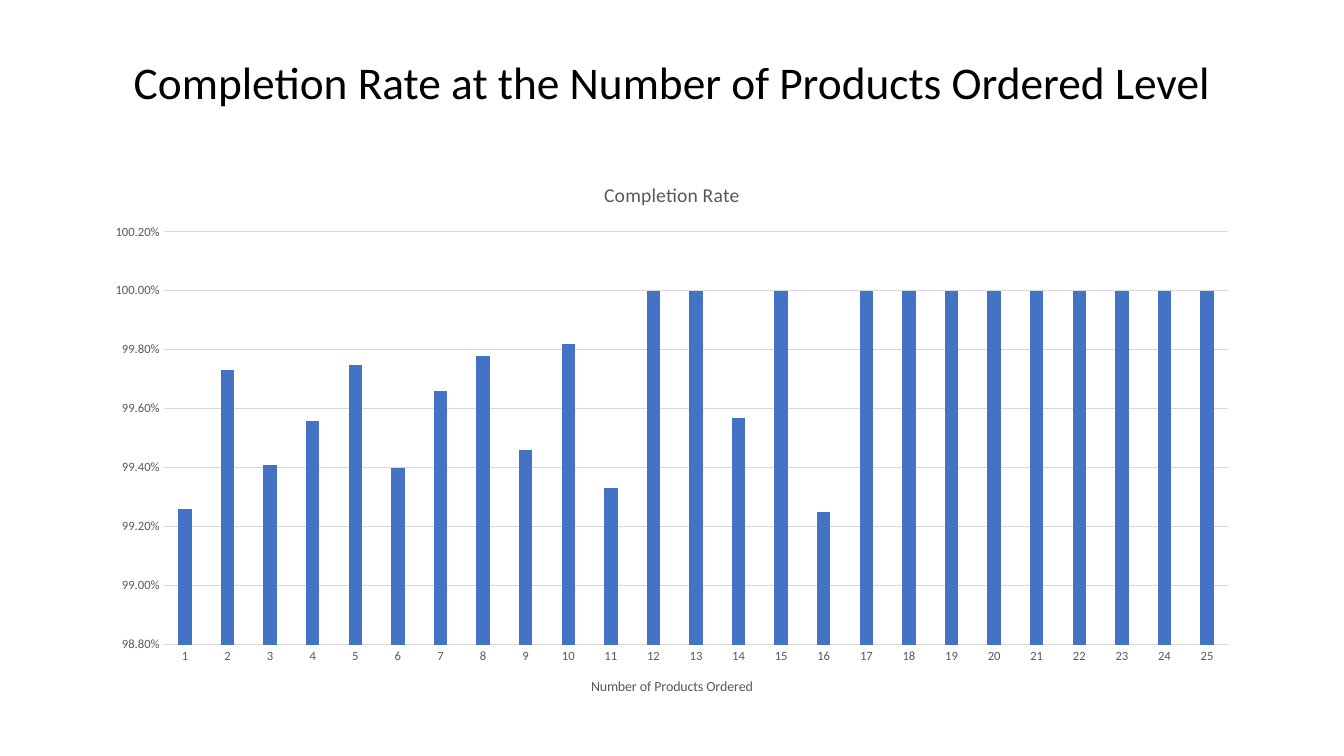
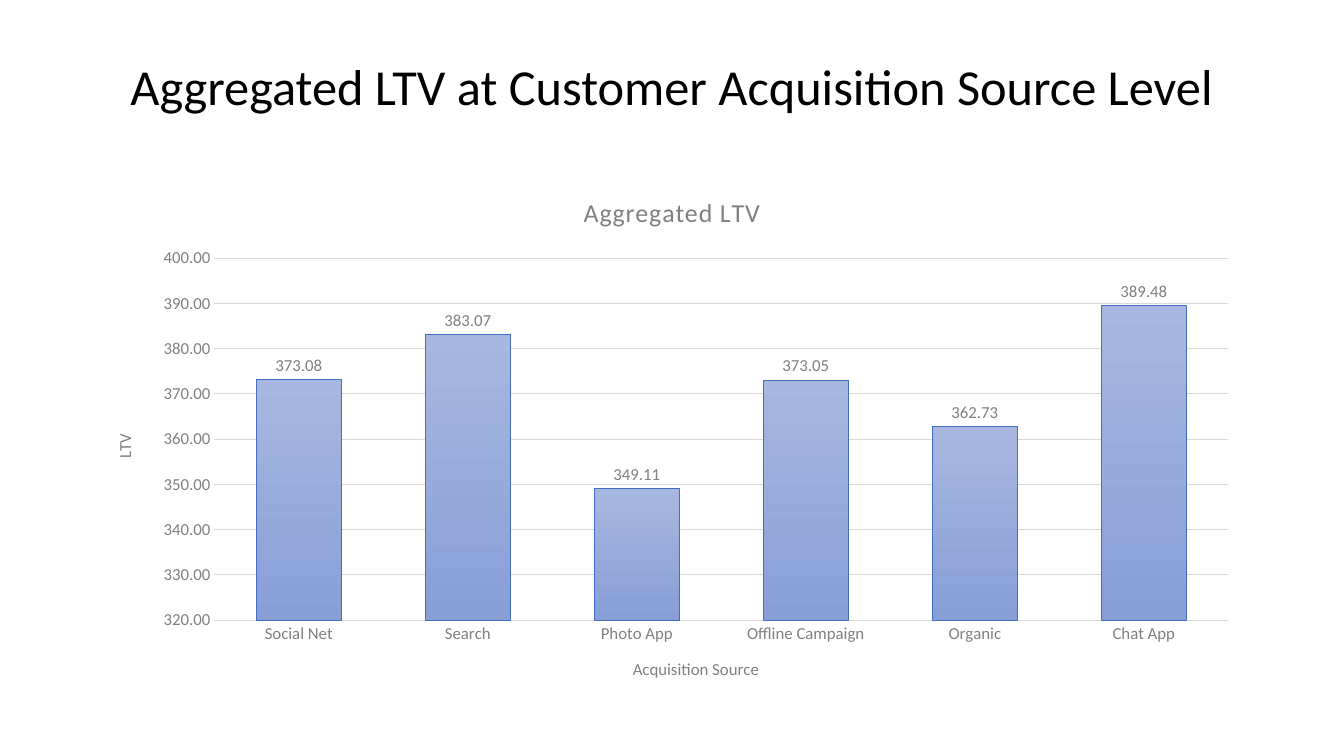
import pptx
import pptx.chart.data
import pptx.dml.color
import pptx.enum.chart
import pptx.enum.text
import pptx.util

Pt = pptx.util.Pt
FONT = "Calibri"
BLACK = "000000"
GRID = "D9D9D9"
LEFT, WIDTH = 66, 828


def color(hex_string):
    return pptx.dml.color.RGBColor.from_string(hex_string)


def style_font(font, size, hex_string):
    font.name = FONT
    font.size = Pt(size)
    font.bold = False
    font.color.rgb = color(hex_string)


completion_rates = [
    0.9926, 0.9973, 0.9941, 0.9956, 0.9975, 0.994, 0.9966, 0.9978, 0.9946,
    0.9982, 0.9933, 1, 1, 0.9957, 1, 0.9925, 1, 1, 1, 1, 1, 1, 1, 1, 1,
]
lifetime_values = {
    "Social Net": 373.08,
    "Search": 383.07,
    "Photo App": 349.11,
    "Offline Campaign": 373.05,
    "Organic": 362.73,
    "Chat App": 389.48,
}

slides = [
    dict(
        title="Completion Rate at the Number of Products Ordered Level",
        title_size=32.4, title_height=63.5, chart_top=115, chart_height=396,
        chart_title="Completion Rate", chart_title_size=14, spacing=0,
        category_title="Number of Products Ordered", value_title=None,
        axis_title_size=10, label_size=9, text_color="595959",
        categories=[str(count) for count in range(1, 26)],
        values=completion_rates, number_format="0.00%",
        scale=(0.988, 1.002, 0.002), gap=219, overlap=-27,
        fill=["4472C4"], outline=None, data_labels=False,
    ),
    dict(
        title="Aggregated LTV at Customer Acquisition Source Level",
        title_size=36, title_height=70, chart_top=124, chart_height=377,
        chart_title="Aggregated LTV", chart_title_size=18.5, spacing=50,
        category_title="Acquisition Source", value_title="LTV",
        axis_title_size=12, label_size=12, text_color="808080",
        categories=list(lifetime_values),
        values=list(lifetime_values.values()), number_format="0.00",
        scale=(320, 400, 10), gap=100, overlap=-24,
        fill=["A8B7DF", "889ED7"], outline="436FC0", data_labels=True,
    ),
]

deck = pptx.Presentation()
deck.slide_width = Pt(960)
deck.slide_height = Pt(540)
title_only = deck.slide_layouts[5]

for content in slides:
    page = deck.slides.add_slide(title_only)

    title = page.shapes.title
    title.left, title.top = Pt(LEFT), Pt(29)
    title.width, title.height = Pt(WIDTH), Pt(content["title_height"])
    frame = title.text_frame
    frame.text = content["title"]
    frame.word_wrap = True
    frame.auto_size = pptx.enum.text.MSO_AUTO_SIZE.NONE
    frame.vertical_anchor = pptx.enum.text.MSO_ANCHOR.MIDDLE
    heading = frame.paragraphs[0]
    heading.alignment = pptx.enum.text.PP_ALIGN.CENTER
    heading.line_spacing = 0.9
    style_font(heading.font, content["title_size"], BLACK)

    data = pptx.chart.data.CategoryChartData(number_format=content["number_format"])
    data.categories = content["categories"]
    data.add_series(content["chart_title"], content["values"])
    chart = page.shapes.add_chart(
        pptx.enum.chart.XL_CHART_TYPE.COLUMN_CLUSTERED,
        Pt(LEFT), Pt(content["chart_top"]), Pt(WIDTH), Pt(content["chart_height"]),
        data,
    ).chart
    text_color = content["text_color"]
    style_font(chart.font, 10, BLACK)
    chart.has_legend = False
    chart.has_title = True
    chart.chart_title.include_in_layout = False
    chart.chart_title.text_frame.text = content["chart_title"]
    caption = chart.chart_title.text_frame.paragraphs[0]
    style_font(caption.font, content["chart_title_size"], text_color)
    caption.font._element.set("spc", str(content["spacing"]))

    category_axis, value_axis = chart.category_axis, chart.value_axis
    for axis, axis_title in (
        (category_axis, content["category_title"]),
        (value_axis, content["value_title"]),
    ):
        axis.major_tick_mark = pptx.enum.chart.XL_TICK_MARK.NONE
        axis.minor_tick_mark = pptx.enum.chart.XL_TICK_MARK.NONE
        style_font(axis.tick_labels.font, content["label_size"], text_color)
        axis.has_title = axis_title is not None
        if axis_title:
            axis.axis_title.text_frame.text = axis_title
            style_font(axis.axis_title.text_frame.paragraphs[0].font,
                       content["axis_title_size"], text_color)

    value_axis.minimum_scale, value_axis.maximum_scale, value_axis.major_unit = content["scale"]
    value_axis.tick_labels.number_format = content["number_format"]
    value_axis.tick_labels.number_format_is_linked = False
    value_axis.format.line.fill.background()
    for line in (category_axis.format.line, value_axis.major_gridlines.format.line):
        line.color.rgb = color(GRID)
        line.width = Pt(0.75)

    plot = chart.plots[0]
    plot.vary_by_categories = False
    plot.gap_width = content["gap"]
    plot.overlap = content["overlap"]
    columns = plot.series[0].format
    if len(content["fill"]) == 1:
        columns.fill.solid()
        columns.fill.fore_color.rgb = color(content["fill"][0])
    else:
        columns.fill.gradient()
        columns.fill.gradient_angle = 270
        for stop, hex_string in zip(columns.fill.gradient_stops, content["fill"]):
            stop.color.rgb = color(hex_string)
    if content["outline"]:
        columns.line.color.rgb = color(content["outline"])
        columns.line.width = Pt(0.75)
    if content["data_labels"]:
        plot.has_data_labels = True
        labels = plot.data_labels
        labels.show_value = True
        labels.position = pptx.enum.chart.XL_LABEL_POSITION.OUTSIDE_END
        labels.number_format = content["number_format"]
        labels.number_format_is_linked = False
        style_font(labels.font, content["label_size"], text_color)

deck.save("out.pptx")
